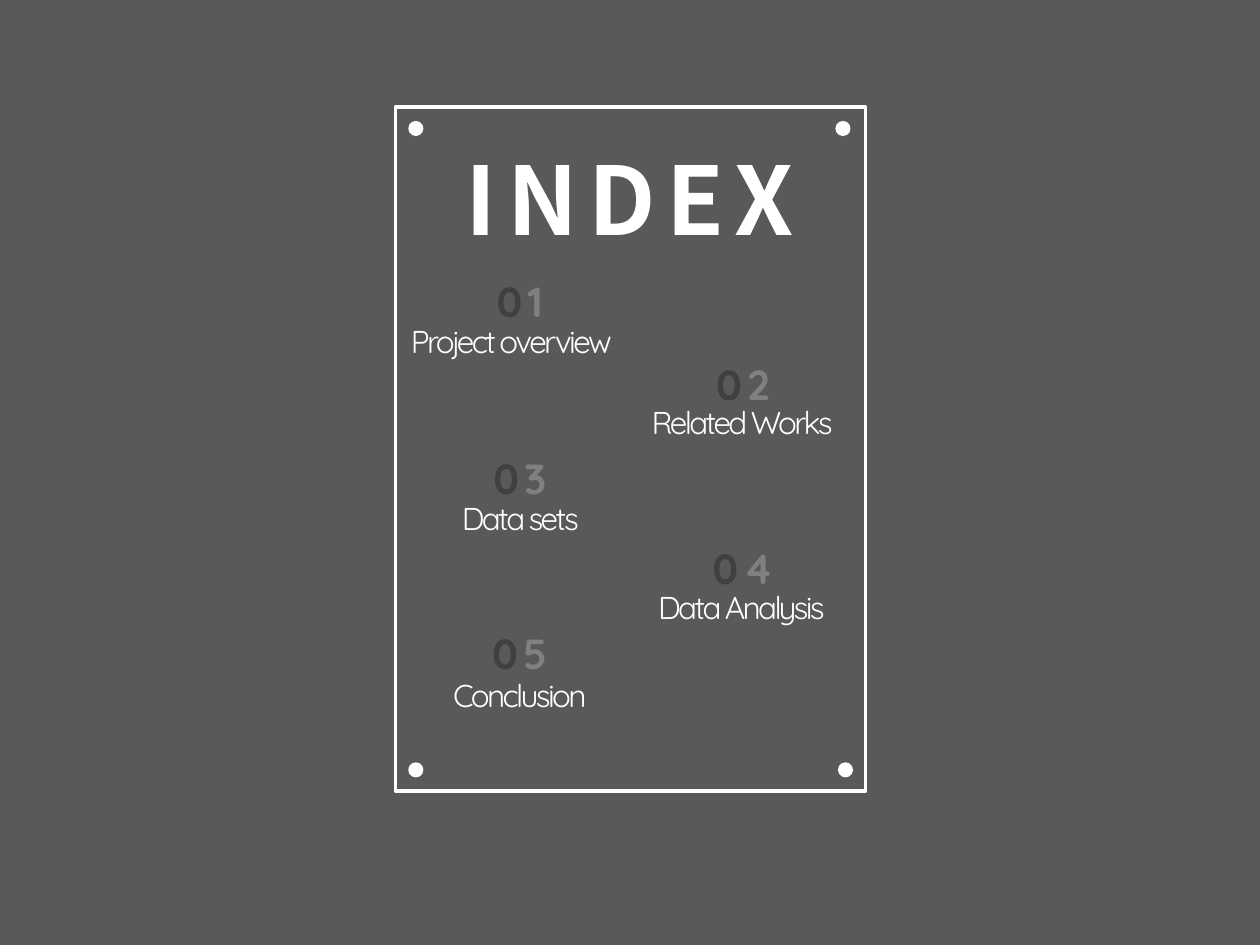
from pptx import Presentation
from pptx.dml.color import RGBColor
from pptx.enum.shapes import MSO_SHAPE as Shape
from pptx.enum.text import MSO_ANCHOR as Anchor, MSO_AUTO_SIZE as AutoSize, PP_ALIGN as Align
from pptx.util import Emu, Pt

PX = 9144
GREY, WHITE, DARK, LIGHT = "595959", "FFFFFF", "404040", "808080"
NUMBER_WIDTH, NUMBER_HEIGHT, LABEL_HEIGHT = 71, 50, 40
FRAME = (314, 85, 373, 543)
DOTS = [(10, 11), (349, 11), (10, 520), (351, 520)]
ENTRIES = [
    ("Project overview", 63, 129, (-13, 166, 210)),
    ("Related Works", 240, 195, (170, 230, 210)),
    ("Data sets", 63, 269, (23, 306, 152)),
    ("Data Analysis", 240, 341, (191, 377, 167)),
    ("Conclusion", 63, 408, (29, 447, 139)),
]


def px(*lengths):
    return [Emu(length * PX) for length in lengths]


def color(code):
    return RGBColor.from_string(code)


def add_span(para, text, size, font, code, spacing, bold=False):
    span = para.add_run()
    span.text = text
    span.font.size = Pt(size)
    span.font.name = font
    span.font.bold = bold
    span.font.color.rgb = color(code)
    span._r.get_or_add_rPr().set("spc", str(int(spacing * 100)))


def centre_text(box, wrap):
    frame = box.text_frame
    frame.word_wrap = wrap
    frame.auto_size = AutoSize.SHAPE_TO_FIT_TEXT
    frame.vertical_anchor = Anchor.TOP
    para = frame.paragraphs[0]
    para.alignment = Align.CENTER
    return para


def add_text(page, left, top, width, height):
    return centre_text(page.shapes.add_textbox(*px(left, top, width, height)), False)


def add_title(page, left, top, width, height):
    title = page.shapes.title
    title.left, title.top, title.width, title.height = px(left, top, width, height)
    add_span(centre_text(title, True), "INDEX", 54, "Noto Sans CJK KR", WHITE, 6, True)


def add_frame(page, left, top, width, height):
    border = page.shapes.add_shape(Shape.RECTANGLE, *px(left, top, width, height))
    border.shadow.inherit = False
    border.fill.background()
    border.line.color.rgb = color(WHITE)
    border.line.width = Pt(2)
    for x, y in DOTS:
        dot = page.shapes.add_shape(Shape.OVAL, *px(left + x, top + y, 12, 12))
        dot.shadow.inherit = False
        dot.fill.solid()
        dot.fill.fore_color.rgb = color(WHITE)
        dot.line.fill.background()


def add_entries(page, left, top):
    for index, (label, x, y, (label_x, label_y, label_width)) in enumerate(ENTRIES, 1):
        number = add_text(page, left + x, top + y, NUMBER_WIDTH, NUMBER_HEIGHT)
        add_span(number, "0", 24, "Quicksand", DARK, 3, True)
        add_span(number, str(index), 24, "Quicksand", LIGHT, 3, True)
        name = add_text(page, left + label_x, top + label_y, label_width, LABEL_HEIGHT)
        add_span(name, label, 18, "Quicksand", WHITE, -1.5)


def main():
    deck = Presentation()
    deck.slide_width, deck.slide_height = px(1000, 750)
    page = deck.slides.add_slide(deck.slide_layouts[5])
    page.background.fill.solid()
    page.background.fill.fore_color.rgb = color(GREY)
    add_frame(page, *FRAME)
    add_title(page, 0, 107, 1000, 101)
    add_entries(page, *FRAME[:2])
    deck.save("out.pptx")


if __name__ == "__main__":
    main()
